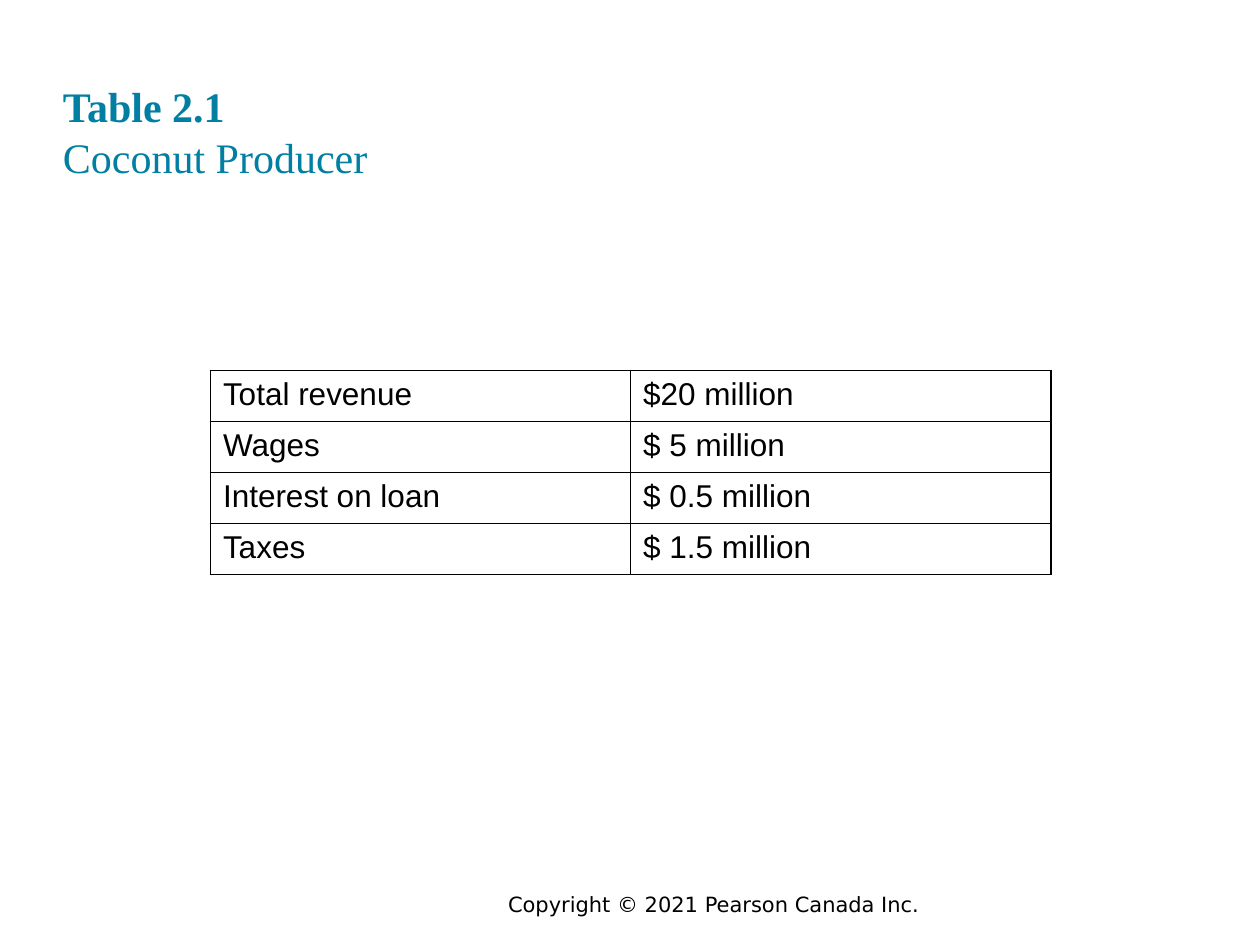
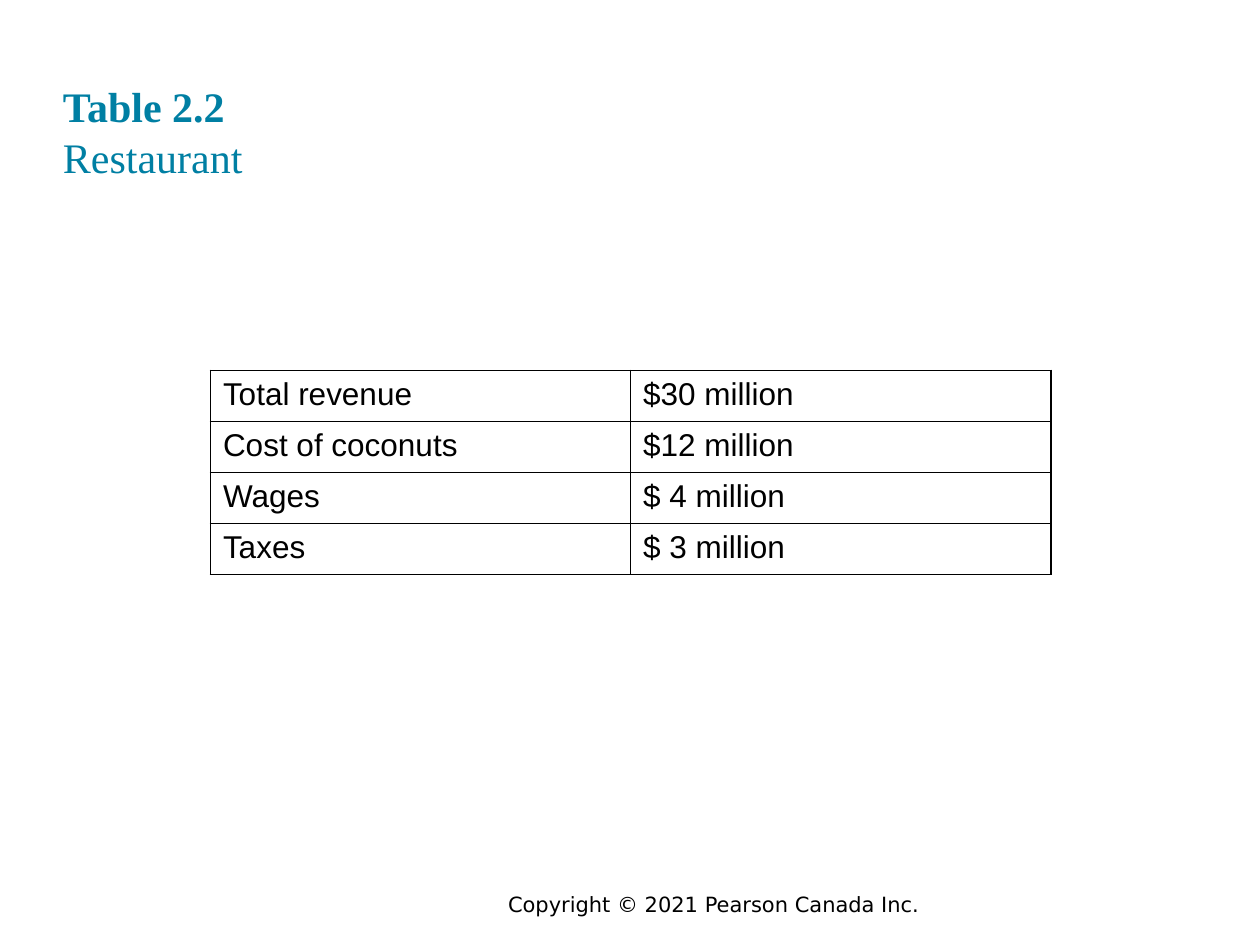
from lxml.etree import SubElement
from pptx import Presentation
from pptx.dml.color import RGBColor
from pptx.enum.text import MSO_ANCHOR, MSO_AUTO_SIZE, PP_ALIGN
from pptx.oxml.ns import qn
from pptx.util import Inches, Pt

COPYRIGHT = "Copyright © 2021 Pearson Canada Inc."

TABLES = [
    ("Table 2.1", "Coconut Producer", [
        ("Total revenue", "$20 million"),
        ("Wages", "$ 5 million"),
        ("Interest on loan", "$ 0.5 million"),
        ("Taxes", "$ 1.5 million"),
    ]),
    ("Table 2.2", "Restaurant", [
        ("Total revenue", "$30 million"),
        ("Cost of coconuts", "$12 million"),
        ("Wages", "$ 4 million"),
        ("Taxes", "$ 3 million"),
    ]),
]


def color(value):
    return RGBColor.from_string(value)


class TableDeck:
    """Holds the shared style and the current slide."""

    BLACK = "000000"
    TITLE = {"name": "Times New Roman", "size": Pt(24)}
    TITLE_COLOR = "007FA3"
    FOOTER = {"name": "DejaVu Sans", "size": Pt(12)}
    CELL = {"name": "Arial", "size": Pt(18)}

    def __init__(self):
        self.deck = Presentation()
        self.deck.slide_width = Inches(10)
        self.deck.slide_height = Inches(7.5)
        self.page = None

    def add_page(self):
        self.page = self.deck.slides.add_slide(self.deck.slide_layouts[6])

    def add_span(self, para, text, style, shade, bold=False):
        span = para.add_run()
        span.text = text
        for name, value in style.items():
            setattr(span.font, name, value)
        span.font.bold = bold
        span.font.color.rgb = color(shade)

    def add_box(self, left, top, width, height, **frame_format):
        box = self.page.shapes.add_textbox(
            Inches(left), Inches(top), Inches(width), Inches(height))
        frame = box.text_frame
        frame.word_wrap = True
        for name, value in frame_format.items():
            setattr(frame, name, value)
        return frame.paragraphs[0]

    def add_title(self, number, subject):
        para = self.add_box(
            0.5, 0.24, 9, 1.2, vertical_anchor=MSO_ANCHOR.BOTTOM,
            margin_left=0, margin_top=0, margin_right=0, margin_bottom=0)
        self.add_span(para, number, self.TITLE, self.TITLE_COLOR, bold=True)
        para.add_line_break()
        self.add_span(para, subject, self.TITLE, self.TITLE_COLOR)

    def add_footer(self):
        para = self.add_box(1.75, 7.03, 7.83, 0.3,
                            auto_size=MSO_AUTO_SIZE.SHAPE_TO_FIT_TEXT)
        para.alignment = PP_ALIGN.CENTER
        self.add_span(para, COPYRIGHT, self.FOOTER, self.BLACK)

    def add_borders(self, cell):
        properties = cell._tc.get_or_add_tcPr()
        for side in ("a:lnL", "a:lnR", "a:lnT", "a:lnB"):
            line = SubElement(properties, qn(side), w=str(Pt(1)))
            fill = SubElement(line, qn("a:solidFill"))
            SubElement(fill, qn("a:srgbClr"), val=self.BLACK)

    def add_table(self, rows):
        table = self.page.shapes.add_table(
            len(rows), len(rows[0]), Inches(1.67), Inches(2.94),
            Inches(6.67), Inches(1.62)).table
        table.first_row = table.horz_banding = False
        for row, texts in zip(table.rows, rows):
            for cell, text in zip(row.cells, texts):
                self.add_borders(cell)
                cell.fill.background()
                self.add_span(cell.text_frame.paragraphs[0], text,
                              self.CELL, self.BLACK)


def main():
    builder = TableDeck()
    for number, subject, rows in TABLES:
        builder.add_page()
        builder.add_footer()
        builder.add_title(number, subject)
        builder.add_table(rows)
    builder.deck.save("out.pptx")


if __name__ == "__main__":
    main()
